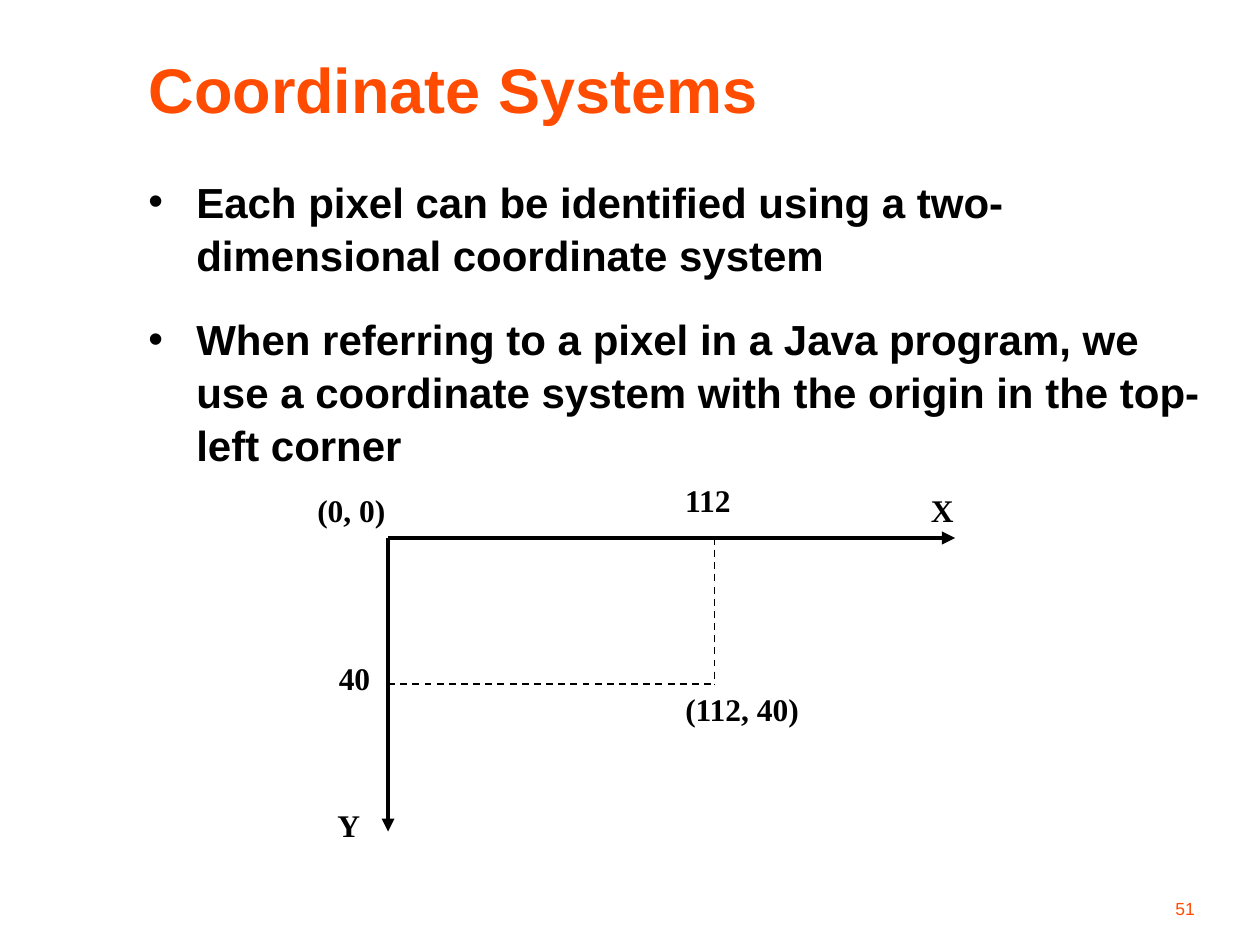
from lxml import etree
from pptx import Presentation
from pptx.dml.color import RGBColor
from pptx.enum import dml, text
from pptx.enum.shapes import MSO_CONNECTOR
from pptx.oxml.ns import qn
from pptx.util import Inches, Pt

ORANGE = RGBColor(0xFF, 0x4C, 0x00)
BLACK = RGBColor(0, 0, 0)
SANS, SERIF = "Arial", "Times New Roman"

TITLE = "Coordinate Systems"
POINTS = [
    "Each pixel can be identified using a two-dimensional coordinate system",
    "When referring to a pixel in a Java program, we use a coordinate system "
    "with the origin in the top-left corner",
]
LEFT, TOP = 3.08, 4.27
PX, PY = 5.67, 5.43
RIGHT, LOW = 7.58, 6.6
AXES = [(LEFT, TOP, LEFT, LOW), (LEFT, TOP, RIGHT, TOP)]
GUIDES = [(LEFT, PY, PX, PY), (PX, TOP, PX, PY)]
LABELS = [
    ("Y", 2.58, 6.35, 0.38),
    ("X", 7.29, 3.85, 0.38),
    ("(0, 0)", 2.42, 3.85, 0.74),
    ("(112, 40)", 5.34, 5.43, 1.11),
    ("112", 5.34, 3.77, 0.57),
    ("40", 2.59, 5.18, 0.45),
]

deck = Presentation()
deck.slide_width, deck.slide_height = Inches(10), Inches(7.5)
slide = deck.slides.add_slide(deck.slide_layouts[5])


def write(frame, lines, size, face, color, bold=True, align=text.PP_ALIGN.LEFT):
    frame.text = "\n".join(lines)
    for para in frame.paragraphs:
        para.alignment = align
        for run in para.runs:
            font = run.font
            font.size, font.name, font.bold = Pt(size), face, bold
            font.color.rgb = color


def box(x, y, w, h, wrap=True):
    frame = slide.shapes.add_textbox(*map(Inches, (x, y, w, h))).text_frame
    frame.word_wrap = wrap
    return frame


def rule(ends, width):
    line = slide.shapes.add_connector(MSO_CONNECTOR.STRAIGHT, *map(Inches, ends))
    line.line.color.rgb = BLACK
    line.line.width = Pt(width)
    etree.SubElement(line._element.spPr, qn("a:effectLst"))
    return line.line


title = slide.shapes.title
title.left, title.top, title.width, title.height = map(Inches, (1.08, 0.33, 8.67, 0.75))
write(title.text_frame, [TITLE], 36, SANS, ORANGE)
title.text_frame.vertical_anchor = text.MSO_ANCHOR.MIDDLE

body = box(1.08, 1.33, 8.67, 5.42)
write(body, POINTS, 24, SANS, BLACK)
for para in body.paragraphs:
    para.space_before = Pt(18)
    para.line_spacing = 1.05
    props = para._p.get_or_add_pPr()
    props.set("marL", str(Inches(0.38)))
    props.set("indent", str(-Inches(0.38)))
    etree.SubElement(props, qn("a:buFont"), typeface=SANS)
    etree.SubElement(props, qn("a:buChar"), char="•")

for ends in AXES:
    axis = rule(ends, 2.5)
    etree.SubElement(axis._get_or_add_ln(), qn("a:tailEnd"), type="triangle")
for ends in GUIDES:
    rule(ends, 1).dash_style = dml.MSO_LINE.DASH

for label, x, y, w in LABELS:
    write(box(x, y, w, 0.4, False), [label], 18, SERIF, BLACK)

page = box(7.5, 6.92, 2.08, 0.42)
page.vertical_anchor = text.MSO_ANCHOR.BOTTOM
write(page, ["51"], 10, SANS, ORANGE, False, text.PP_ALIGN.RIGHT)

deck.save("out.pptx")
